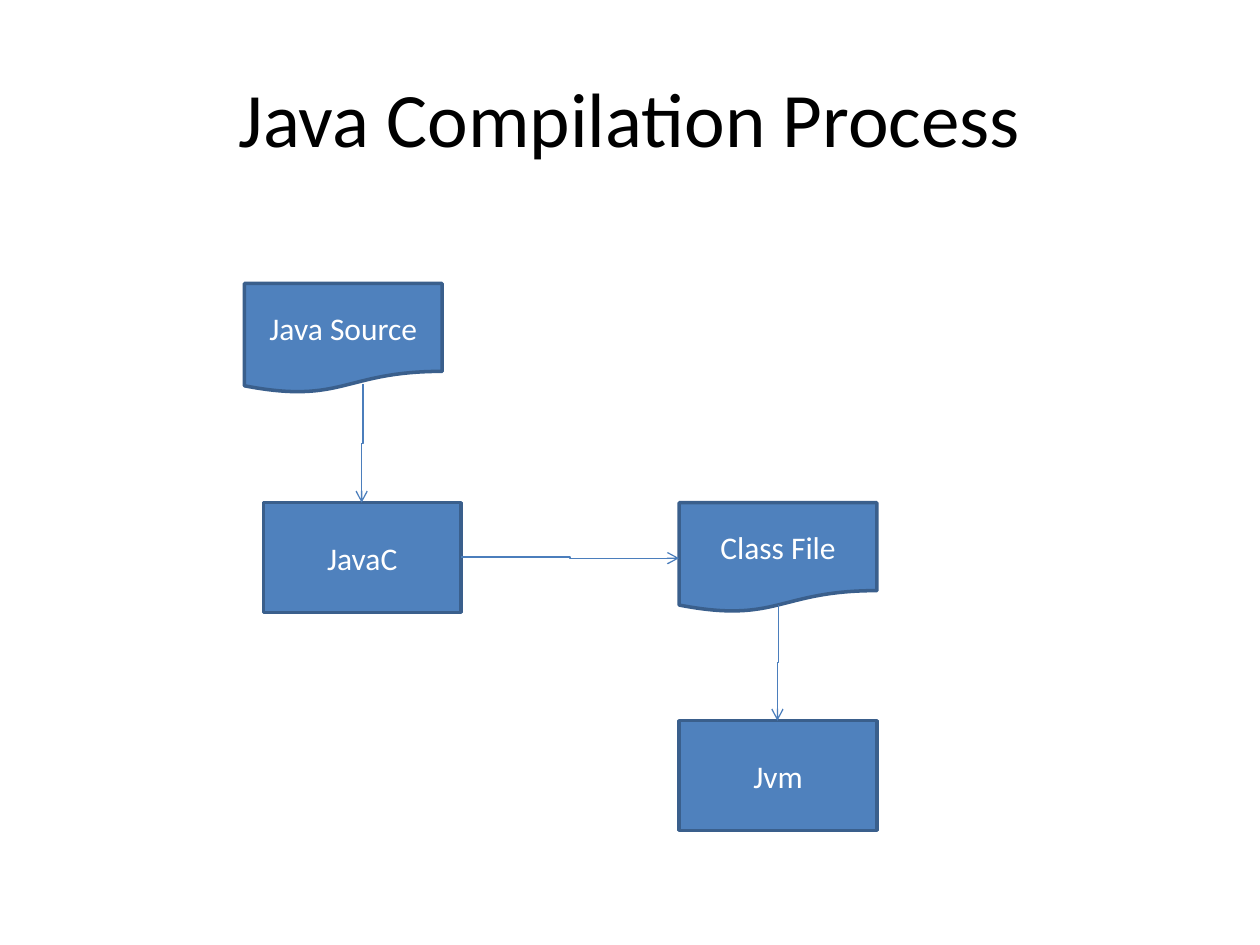
from dataclasses import dataclass

from lxml.etree import SubElement
from pptx import Presentation
from pptx.dml.color import RGBColor
from pptx.enum.shapes import MSO_CONNECTOR as Link, MSO_SHAPE as Shape
from pptx.enum.text import MSO_ANCHOR as Anchor, PP_ALIGN as Align
from pptx.oxml.ns import qn
from pptx.util import Inches, Pt


@dataclass(frozen=True)
class Theme:
    font: str = "Calibri"
    title_size: float = 44
    label_size: float = 18
    outline_width: float = 2
    arrow_width: float = 0.75
    title: str = "000000"
    label: str = "FFFFFF"
    fill: str = "4F81BD"
    outline: str = "3A5F8C"
    arrow: str = "4B7EBC"


THEME = Theme()
TITLE = "Java Compilation Process"
STEP_SIZE = (1.57, 0.87)
ROWS = (2.25, 3.99, 5.72)
STEPS = [
    ("Java Source", Shape.FLOWCHART_DOCUMENT, 1.94, ROWS[0]),
    ("Class File", Shape.FLOWCHART_DOCUMENT, 5.39, ROWS[1]),
    ("JavaC", Shape.RECTANGLE, 2.09, ROWS[1]),
    ("Jvm", Shape.RECTANGLE, 5.39, ROWS[2]),
]
ARROWS = [
    ((2.88, 3.05), (2.87, 3.99)),
    ((3.66, 4.42), (5.39, 4.43)),
    ((6.18, 4.8), (6.17, 5.72)),
]


def color(value):
    return RGBColor.from_string(value)


def write(box, text, size, ink):
    frame = box.text_frame
    frame.word_wrap = True
    frame.vertical_anchor = Anchor.MIDDLE
    para = frame.paragraphs[0]
    para.alignment = Align.CENTER
    span = para.add_run()
    span.text = text
    span.font.name = THEME.font
    span.font.size = Pt(size)
    span.font.color.rgb = color(ink)


def add_step(page, text, kind, left, top):
    box = page.shapes.add_shape(kind, *map(Inches, (left, top, *STEP_SIZE)))
    box.shadow.inherit = False
    box.fill.solid()
    box.fill.fore_color.rgb = color(THEME.fill)
    box.line.color.rgb = color(THEME.outline)
    box.line.width = Pt(THEME.outline_width)
    write(box, text, THEME.label_size, THEME.label)


def add_arrow(page, start, end):
    (x1, y1), (x2, y2) = start, end
    vertical = abs(y2 - y1) > abs(x2 - x1)
    if vertical:
        middle_x, middle_y = (x1 + x2) / 2, (y1 + y2) / 2
        half_length, half_jog = (y2 - y1) / 2, (x1 - x2) / 2
        x1, x2 = middle_x - half_length, middle_x + half_length
        y1, y2 = middle_y - half_jog, middle_y + half_jog
    arrow = page.shapes.add_connector(Link.ELBOW, *map(Inches, (x1, y1, x2, y2)))
    arrow.line.color.rgb = color(THEME.arrow)
    arrow.line.width = Pt(THEME.arrow_width)
    properties = arrow.element.spPr
    if vertical:
        properties.find(qn("a:xfrm")).set("rot", "5400000")
    SubElement(properties.find(qn("a:ln")), qn("a:tailEnd"), type="arrow")
    SubElement(properties, qn("a:effectLst"))


def main():
    """Build the Java compilation flow slide."""
    deck = Presentation()
    deck.slide_width, deck.slide_height = Inches(10), Inches(7.5)
    page = deck.slides.add_slide(deck.slide_layouts[6])
    heading = page.shapes.add_textbox(*map(Inches, (0.5, 0.3, 9, 1.25)))
    write(heading, TITLE, THEME.title_size, THEME.title)
    for step in STEPS:
        add_step(page, *step)
    for start, end in ARROWS:
        add_arrow(page, start, end)
    deck.save("out.pptx")


if __name__ == "__main__":
    main()
